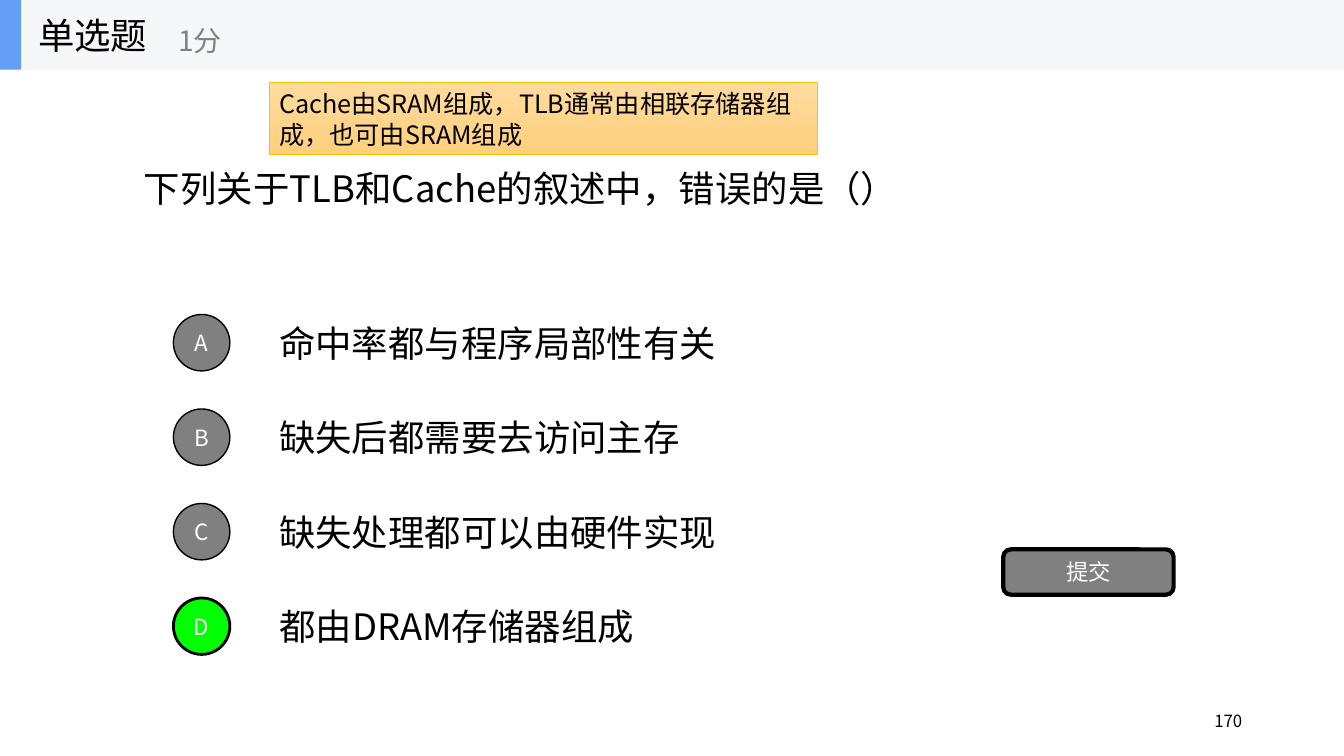
import pptx
import pptx.util
from pptx.dml.color import RGBColor
from pptx.enum.shapes import MSO_SHAPE
from pptx.enum.text import MSO_ANCHOR, PP_ALIGN
from pptx.oxml.ns import qn
from pptx.util import Inches

# Content
HEADING = "单选题"
SCORE = "1分"
QUESTION = "下列关于TLB和Cache的叙述中，错误的是（）"
OPTIONS = [
    ("A", "命中率都与程序局部性有关"),
    ("B", "缺失后都需要去访问主存"),
    ("C", "缺失处理都可以由硬件实现"),
    ("D", "都由DRAM存储器组成"),
]
ANSWER = "D"
EXPLANATION = "Cache由SRAM组成，TLB通常由相联存储器组成，也可由SRAM组成"
SUBMIT = "提交"
PAGE_NUMBER = "170"

# Style
FONT = "Noto Sans CJK SC"
BLACK = RGBColor(0x00, 0x00, 0x00)
WHITE = RGBColor(0xFF, 0xFF, 0xFF)
GRAY = RGBColor(0x80, 0x80, 0x80)
GREEN = RGBColor(0x00, 0xFF, 0x00)
BAR = RGBColor(0xF6, 0xF7, 0xF8)
ACCENT = RGBColor(0x63, 0x9E, 0xF4)
NOTE_TOP = RGBColor(0xFF, 0xDB, 0x9E)
NOTE_BOTTOM = RGBColor(0xFF, 0xD0, 0x7C)
NOTE_LINE = RGBColor(0xFF, 0xC0, 0x00)

# Layout, in inches
BAR_HEIGHT = 0.69
OPTION_LEFT, OPTION_TOP, OPTION_HEIGHT, OPTION_PITCH = 2.67, 3.05, 0.7, 0.9375
CIRCLE_LEFT, CIRCLE_SIZE = 1.72, 0.56

presentation = pptx.Presentation()
presentation.slide_width = Inches(13.33)
presentation.slide_height = Inches(7.5)
slide = presentation.slides.add_slide(presentation.slide_layouts[6])


def write(shape, text, size, color=BLACK, align=PP_ALIGN.LEFT, wrap=True):
    frame = shape.text_frame
    frame.word_wrap = wrap
    frame.vertical_anchor = MSO_ANCHOR.MIDDLE
    paragraph = frame.paragraphs[0]
    paragraph.alignment = align
    run = paragraph.add_run()
    run.text = text
    run.font.size = pptx.util.Pt(size)
    run.font.name = FONT
    run.font.color.rgb = color
    east_asian = run.font._element.makeelement(qn("a:ea"), {"typeface": FONT})
    run.font._element.find(qn("a:latin")).addnext(east_asian)
    return paragraph


def add_text(box, text, size, **style):
    write(slide.shapes.add_textbox(*map(Inches, box)), text, size, **style)


def add_box(kind, box, fill=None, line=None, width=0):
    shape = slide.shapes.add_shape(kind, *map(Inches, box))
    shape.shadow.inherit = False
    if fill is not None:
        shape.fill.solid()
        shape.fill.fore_color.rgb = fill
    if line is None:
        shape.line.fill.background()
    else:
        shape.line.color.rgb = line
        shape.line.width = pptx.util.Pt(width)
    return shape


# Page number and question
add_text((9.42, 6.95, 3, 0.4), PAGE_NUMBER, 12, align=PP_ALIGN.RIGHT)
add_text((1.33, 0.69, 10.67, 2.34), QUESTION, 26)

# Options with lettered circles
for index, (letter, option) in enumerate(OPTIONS):
    top = OPTION_TOP + index * OPTION_PITCH
    add_text((OPTION_LEFT, top, 9.33, OPTION_HEIGHT), option, 26)
    correct = letter == ANSWER
    circle_top = top + (OPTION_HEIGHT - CIRCLE_SIZE) / 2
    circle = add_box(MSO_SHAPE.OVAL, (CIRCLE_LEFT, circle_top, CIRCLE_SIZE, CIRCLE_SIZE),
                     GREEN if correct else GRAY, BLACK, 2 if correct else 1)
    write(circle, letter, 16, WHITE, PP_ALIGN.CENTER)

# Submit button
button = add_box(MSO_SHAPE.ROUNDED_RECTANGLE, (9.95, 5.45, 1.69, 0.45), GRAY, BLACK, 3)
write(button, SUBMIT, 16, WHITE, PP_ALIGN.CENTER)

# Explanation note
note = add_box(MSO_SHAPE.RECTANGLE, (OPTION_LEFT, 0.82, 5.44, 0.71), line=NOTE_LINE, width=0.5)
note.fill.gradient()
note.fill.gradient_angle = 270
for stop, color in zip(note.fill.gradient_stops, (NOTE_TOP, NOTE_BOTTOM)):
    stop.color.rgb = color
write(note, EXPLANATION, 18).line_spacing = pptx.util.Pt(22)
note.text_frame.vertical_anchor = MSO_ANCHOR.TOP

# Header bar
add_box(MSO_SHAPE.RECTANGLE, (0, 0, 13.33, BAR_HEIGHT), BAR)
add_box(MSO_SHAPE.RECTANGLE, (0, 0, 0.21, BAR_HEIGHT), ACCENT)
add_text((0.28, 0, 2.08, BAR_HEIGHT), HEADING, 26, wrap=False)
add_text((1.67, 0.12, 2.5, 0.56), SCORE, 20, color=GRAY, wrap=False)

presentation.save("out.pptx")
